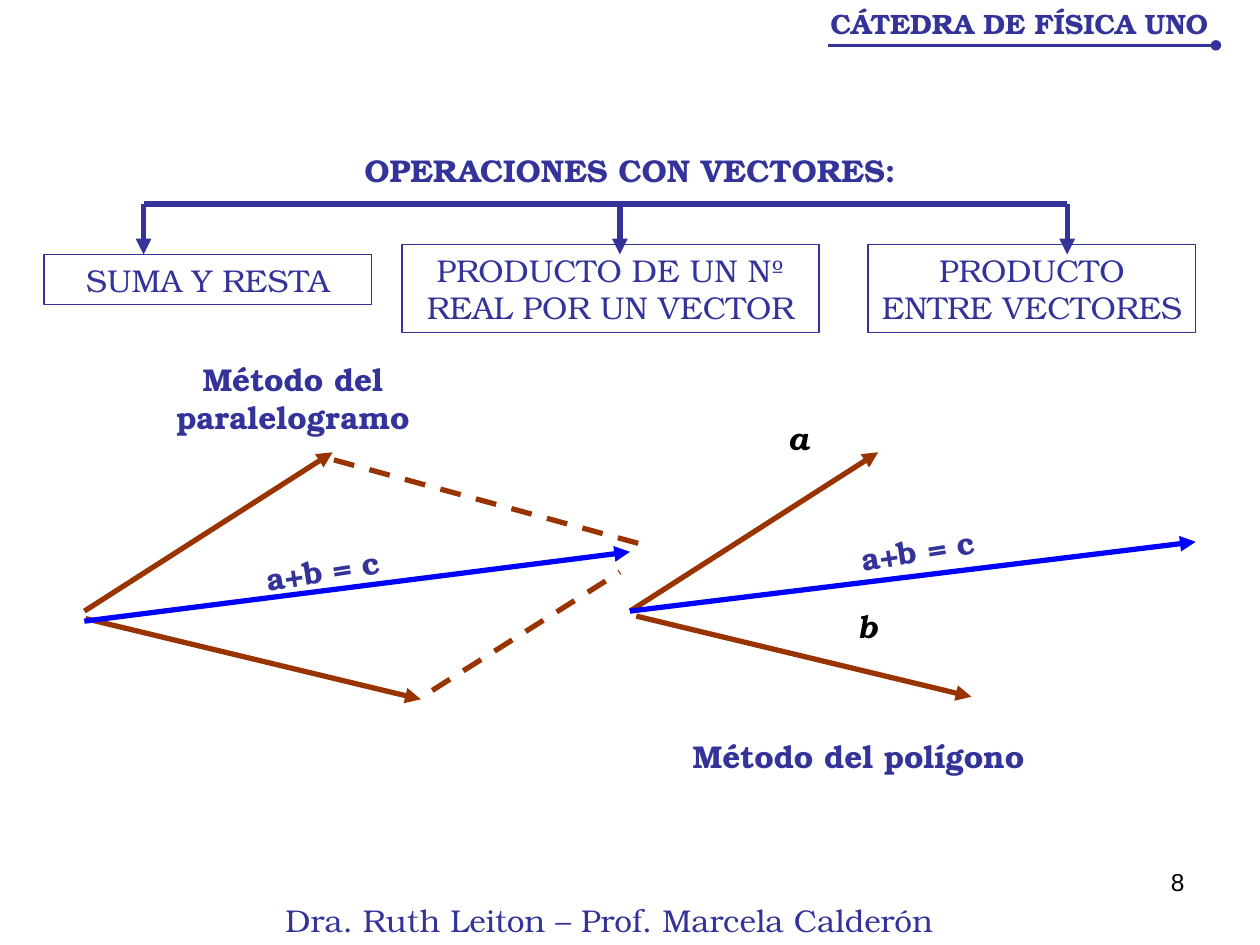
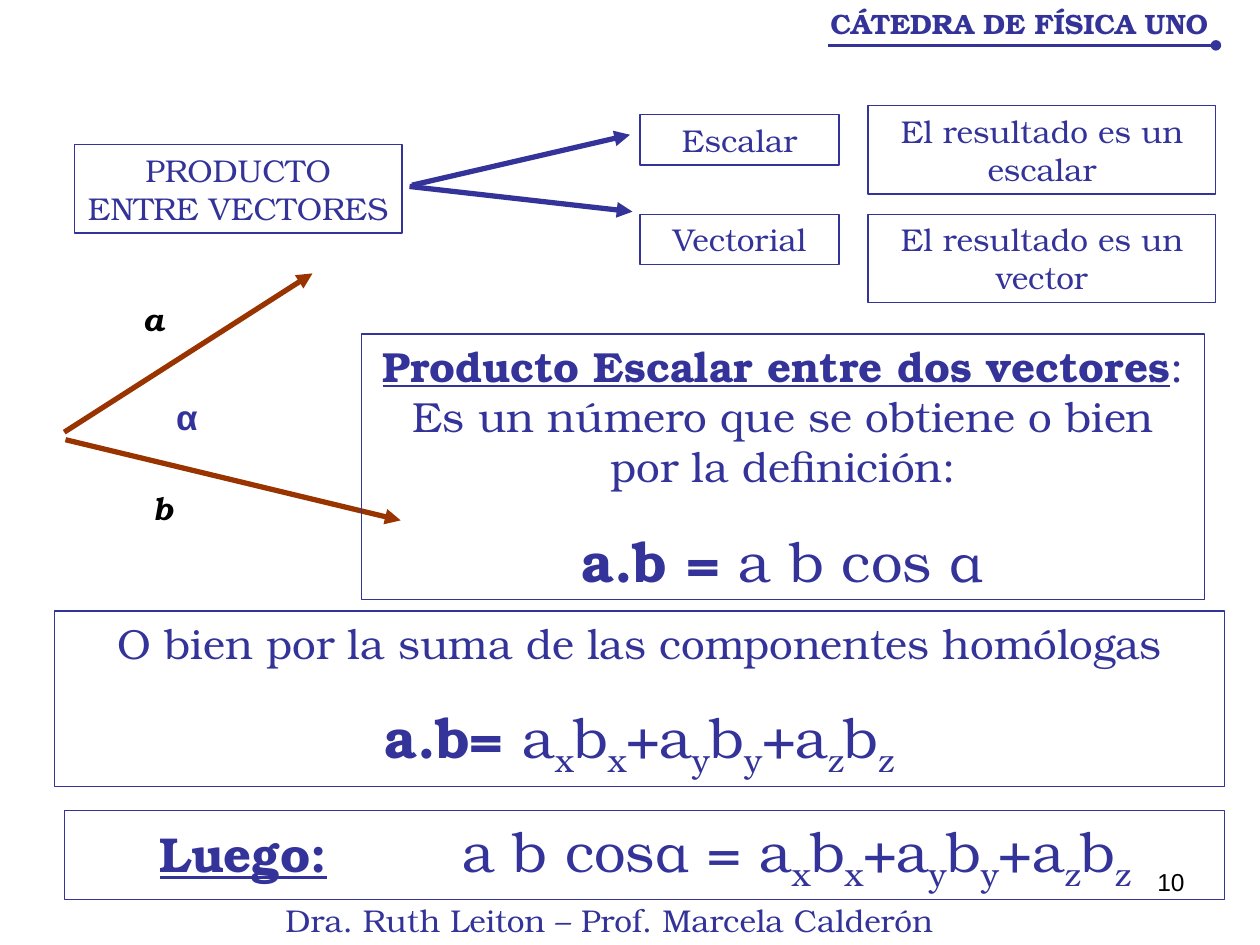
import pptx
import pptx.dml.color
import pptx.enum.dml
import pptx.enum.shapes
import pptx.enum.text
import pptx.oxml.xmlchemy
import pptx.util

COLUMNS, ROWS = 100, 75
WIDTH, HEIGHT = pptx.util.Inches(10), pptx.util.Inches(7.5)
INDIGO, RUST, BLUE, BLACK = "333399", "993300", "0000FF", "000000"
SERIF, SANS = "TeX Gyre Bonum", "Arial"
ALIGN = pptx.enum.text.PP_ALIGN
VECTOR_A, VECTOR_B = (19.7, -12.6), (26.6, 6.4)
LABEL_TILT = -8.9
COMPONENTS = [("a", "x"), ("b", "x"), ("+a", "y"), ("b", "y"), ("+a", "z"), ("b", "z")]


def color(value):
    return pptx.dml.color.RGBColor.from_string(value)


def across(columns):
    return round(WIDTH * columns / COLUMNS)


def down(rows):
    return round(HEIGHT * rows / ROWS)


def add_xml(parent, tag, **attributes):
    element = pptx.oxml.xmlchemy.OxmlElement(tag)
    for key, value in attributes.items():
        element.set(key, value)
    parent.append(element)
    return element


def style_run(run, size=18, ink=INDIGO, face=SERIF, bold=False, italic=False,
              underline=False, subscript=False):
    font = run.font
    font.size, font.name = pptx.util.Pt(size), face
    font.color.rgb = color(ink)
    font.bold, font.italic, font.underline = bold, italic, underline
    if subscript:
        run._r.get_or_add_rPr().set("baseline", "-25000")


def prepare_frame(holder):
    frame = holder.text_frame
    frame.word_wrap = True
    frame.vertical_anchor = pptx.enum.text.MSO_ANCHOR.TOP
    return frame


def add_label(slide, text, left, top, width, height=4, align=ALIGN.CENTER, tilt=0, **style):
    label = slide.shapes.add_textbox(across(left), down(top), across(width), down(height))
    label.rotation = tilt
    frame = prepare_frame(label)
    frame.text = text
    frame.paragraphs[0].alignment = align
    style_run(frame.paragraphs[0].runs[0], **style)


def add_frame(slide, left, top, width, height):
    box = slide.shapes.add_shape(pptx.enum.shapes.MSO_SHAPE.RECTANGLE,
                                 across(left), down(top), across(width), down(height))
    box.shadow.inherit = False
    box.fill.background()
    box.line.color.rgb = color(INDIGO)
    box.line.width = pptx.util.Pt(0.75)
    return prepare_frame(box)


def add_box(slide, text, left, top, width, height):
    frame = add_frame(slide, left, top, width, height)
    frame.text = text
    frame.paragraphs[0].alignment = ALIGN.CENTER
    style_run(frame.paragraphs[0].runs[0])


def write_runs(paragraph, runs, align=ALIGN.CENTER):
    paragraph.alignment = align
    for text, style in runs:
        run = paragraph.add_run()
        run.text = text
        style_run(run, **style)


def add_line(slide, start, end, ink=INDIGO, weight=3, tip=None, dashed=False):
    line = slide.shapes.add_connector(
        pptx.enum.shapes.MSO_CONNECTOR.STRAIGHT,
        across(start[0]), down(start[1]), across(end[0]), down(end[1]))
    line.line.color.rgb = color(ink)
    line.line.width = pptx.util.Pt(weight)
    if dashed:
        line.line.dash_style = pptx.enum.dml.MSO_LINE.DASH
    if tip:
        add_xml(line.line._get_or_add_ln(), "a:tailEnd", type=tip)
    add_xml(line._element.spPr, "a:effectLst")


def add_arrow(slide, start, end, ink=INDIGO):
    add_line(slide, start, end, ink, tip="triangle")


def add_vector_pair(slide, origin_a, origin_b):
    for origin, (run, rise) in ((origin_a, VECTOR_A), (origin_b, VECTOR_B)):
        add_arrow(slide, origin, (origin[0] + run, origin[1] + rise), RUST)


def add_vector_names(slide, place_a, place_b):
    for name, (left, top) in (("a", place_a), ("b", place_b)):
        add_label(slide, name, left, top, 4.7, ink=BLACK, bold=True, italic=True)


def component_sum(size):
    runs = []
    for name, axis in COMPONENTS:
        runs += [(name, {"size": size}), (axis, {"size": size, "subscript": True})]
    return runs


def start_slide(deck, number):
    slide = deck.slides.add_slide(deck.slide_layouts[6])
    add_label(slide, number, 71.7, 68.3, 23.3, 5.2, ALIGN.RIGHT, size=14, ink=BLACK, face=SANS)
    add_label(slide, "CÁTEDRA DE FÍSICA UNO", 61.8, 0, 38.2, 3.7, size=16, bold=True)
    add_line(slide, (65.7, 3.6), (96.5, 3.6), weight=2, tip="oval")
    add_label(slide, "Dra. Ruth Leiton – Prof. Marcela Calderón ", 15.3, 71, 66.9)
    return slide


def add_operations_tree(slide):
    bar, arrow_end = 16.2, 20.2
    branches = (11.4, 49.2, 84.7)
    add_label(slide, "OPERACIONES CON VECTORES:", 24.8, 11.5, 50.4, bold=True)
    add_box(slide, "SUMA Y RESTA", 3.5, 20.2, 26, 4)
    add_box(slide, "PRODUCTO DE UN Nº REAL POR UN VECTOR", 31.9, 19.4, 33.1, 7)
    add_box(slide, "PRODUCTO ENTRE VECTORES", 68.9, 19.4, 26, 7)
    add_line(slide, (branches[0], bar), (branches[-1], bar))
    for branch in branches:
        add_arrow(slide, (branch, bar), (branch, arrow_end))


def add_sum(slide, start, end, label_place):
    add_arrow(slide, start, end, BLUE)
    add_label(slide, "a+b = c", *label_place, 14.2, align=ALIGN.LEFT, tilt=LABEL_TILT, bold=True)


def build_operations(deck):
    slide = start_slide(deck, "8")
    add_operations_tree(slide)

    add_label(slide, "Método del paralelogramo", 5.9, 28.1, 34.7, 7, bold=True)
    add_vector_pair(slide, (6.7, 48.5), (6.8, 49.1))
    add_line(slide, (26.5, 36.5), (51.3, 43.3), RUST, dashed=True)
    add_line(slide, (34.3, 54.8), (49.2, 45.4), RUST, dashed=True)
    add_sum(slide, (6.7, 49.3), (50, 43.8), (20.1, 43))

    add_vector_pair(slide, (50, 48.5), (50.5, 48.9))
    add_vector_names(slide, (61, 32.8), (66.5, 47.7))
    add_sum(slide, (50, 48.5), (94.9, 43), (67.3, 41.4))
    add_label(slide, "Método del polígono", 50.8, 58, 34.7, bold=True)


def add_definition(slide):
    frame = add_frame(slide, 28.7, 26.5, 66.9, 21.1)
    write_runs(frame.paragraphs[0], [
        ("Producto Escalar entre dos vectores", {"size": 24, "bold": True, "underline": True}),
        (": Es un número que se obtiene o bien por la definición:", {"size": 24})])
    formula = frame.add_paragraph()
    formula.space_before = pptx.util.Pt(20)
    write_runs(formula, [("a.b = ", {"size": 32, "bold": True}), ("a b cos α", {"size": 32})])


def add_component_rule(slide):
    frame = add_frame(slide, 4.3, 48.5, 92.9, 13.9)
    write_runs(frame.paragraphs[0],
               [("O bien por la suma de las componentes homólogas", {"size": 24})])
    formula = frame.add_paragraph()
    formula.space_before = pptx.util.Pt(20)
    write_runs(formula, [("a.b= ", {"size": 32, "bold": True})] + component_sum(32))


def add_conclusion(slide):
    frame = add_frame(slide, 5.1, 64.3, 92.1, 7.1)
    frame.margin_left = across(7.6)
    conclusion = frame.paragraphs[0]
    conclusion.alignment = ALIGN.LEFT
    tabs = add_xml(conclusion._p.get_or_add_pPr(), "a:tabLst")
    add_xml(tabs, "a:tab", pos=str(across(24)), algn="l")
    write_runs(conclusion, [("Luego:", {"size": 28, "bold": True, "underline": True}),
                            ("\ta b cosα = ", {"size": 32})] + component_sum(32), ALIGN.LEFT)


def build_scalar_product(deck):
    slide = start_slide(deck, "10")
    add_box(slide, "PRODUCTO ENTRE VECTORES", 5.9, 11.5, 26, 7)
    add_arrow(slide, (32.7, 14.7), (50, 10.7))
    add_arrow(slide, (32.5, 14.8), (50.2, 16.8))
    for kind, kind_top, result, result_top in (("Escalar", 9.1, "escalar", 8.4),
                                               ("Vectorial", 17, "vector", 17)):
        add_box(slide, kind, 50.8, kind_top, 15.8, 4)
        add_box(slide, f"El resultado es un {result}", 68.9, result_top, 27.6, 7)
    add_vector_pair(slide, (5.1, 34.3), (5.2, 34.9))
    add_vector_names(slide, (9.8, 23.3), (10.6, 38.3))
    add_label(slide, "α", 13, 30.9, 3.7, 4.4, ALIGN.LEFT, size=20, face=SANS, bold=True)
    add_definition(slide)
    add_component_rule(slide)
    add_conclusion(slide)


def main():
    deck = pptx.Presentation()
    deck.slide_width, deck.slide_height = WIDTH, HEIGHT
    build_operations(deck)
    build_scalar_product(deck)
    deck.save("out.pptx")


if __name__ == "__main__":
    main()
